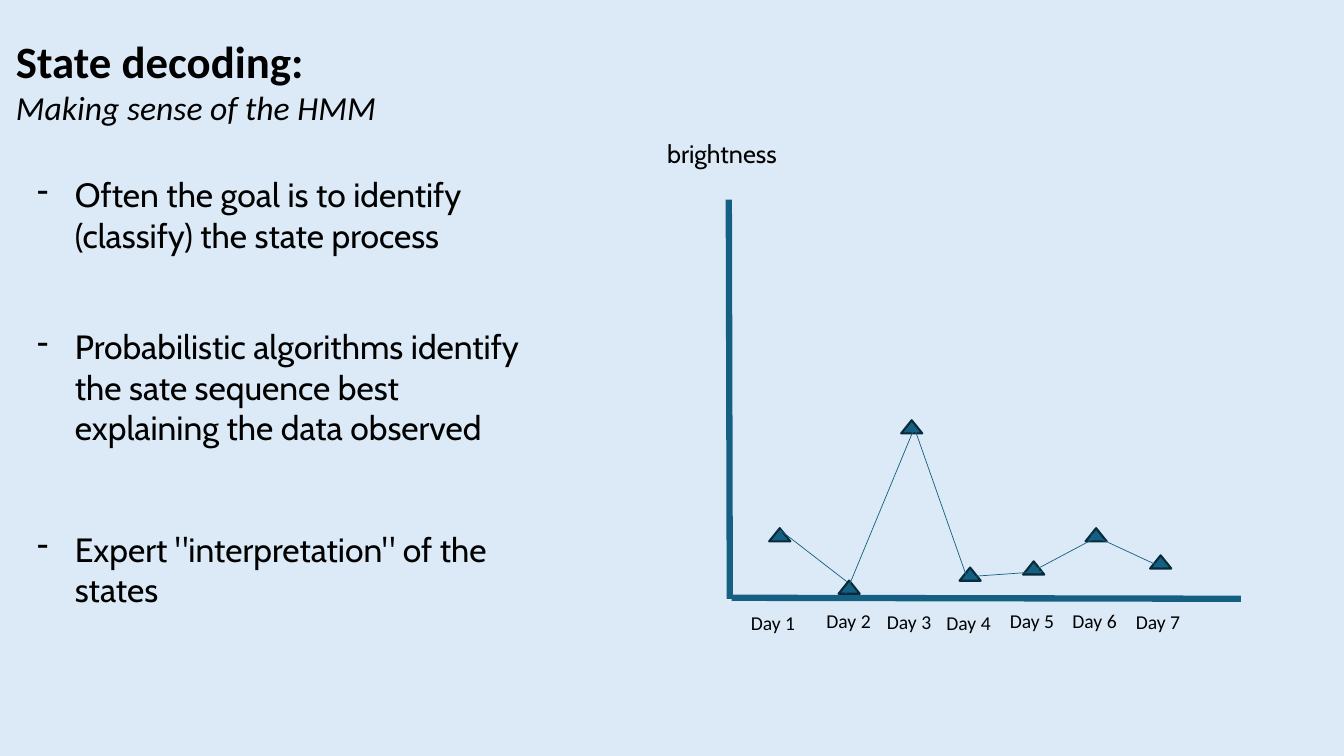
"""Build the state decoding slide with its hand-drawn brightness graph."""
from dataclasses import dataclass

import lxml.etree
import pptx
import pptx.dml.color
import pptx.enum.shapes
import pptx.oxml.ns
import pptx.shapes.connector
import pptx.shapes.group
import pptx.shapes.shapetree
import pptx.text.text
import pptx.util


@dataclass(frozen=True)
class Theme:
    background: str = "DCEAF7"
    accent: str = "156082"
    marker_outline: str = "092A39"
    text: str = "000000"
    heading_font: str = "Calibri"
    body_font: str = "Cabin"
    title_size: float = 32
    body_size: float = 24
    axis_title_size: float = 18
    label_size: float = 14
    axis_width: float = 4.5
    marker_width: float = 1.5
    segment_width: float = 0.5


@dataclass(frozen=True)
class Day:
    name: str
    label_left: float
    label_top: float
    label_width: float
    marker_left: float
    marker_top: float


@dataclass(frozen=True)
class Line:
    start_x: float
    start_y: float
    end_x: float
    end_y: float


@dataclass(frozen=True)
class Bullet:
    text: str
    space_before: float


THEME = Theme()
MARKER_WIDTH, MARKER_HEIGHT, LABEL_HEIGHT = 15.1, 9.4, 25.2
BULLET_INDENT = 27

BULLETS = [
    Bullet("Often the goal is to identify (classify) the state process", 0),
    Bullet("Probabilistic algorithms identify the sate sequence best explaining the data observed", 51),
    Bullet('Expert "interpretation" of the states', 58),
]
AXES = [Line(520.6, 142.6, 521.3, 427.7), Line(886.3, 427.7, 522.7, 427)]
DAYS = [
    Day("Day 1", 529.2, 432.7, 64, 549.4, 377.3),
    Day("Day 2", 583.2, 431.3, 64, 599, 414.7),
    Day("Day 3", 626.4, 432, 49, 643.7, 300.2),
    Day("Day 4", 668.9, 432.7, 49, 685.4, 405.4),
    Day("Day 5", 714.2, 431.3, 49, 730.8, 401),
    Day("Day 6", 758.9, 431.3, 49, 775.4, 377.3),
    Day("Day 7", 804.2, 432, 49, 821.5, 396.7),
]
SEGMENTS = [
    Line(557.3, 378.7, 604.8, 415.4),
    Line(653, 306, 604.1, 424.1),
    Line(653, 305.3, 691.2, 414),
    Line(693.4, 411.8, 744.5, 408.2),
    Line(738.7, 407.5, 784.8, 383),
    Line(830.2, 405.4, 779, 381.6),
]


def colour(value: str) -> pptx.dml.color.RGBColor:
    return pptx.dml.color.RGBColor.from_string(value)


def style(paragraph: pptx.text.text._Paragraph, font: str, size: float,
          bold: bool = False, italic: bool = False) -> None:
    for run in paragraph.runs:
        run.font.name = font
        run.font.size = pptx.util.Pt(size)
        run.font.bold = bold
        run.font.italic = italic
        run.font.color.rgb = colour(THEME.text)


def add_text(shapes: pptx.shapes.shapetree._BaseGroupShapes, text: str, left: float,
             top: float, width: float, height: float) -> pptx.text.text.TextFrame:
    box = shapes.add_textbox(*map(pptx.util.Pt, (left, top, width, height)))
    box.text_frame.word_wrap = True
    box.text_frame.text = text
    return box.text_frame


def add_line(graph: pptx.shapes.group.GroupShape, line: Line, width: float) -> None:
    ends = map(pptx.util.Pt, (line.start_x, line.start_y, line.end_x, line.end_y))
    connector = graph.shapes.add_connector(pptx.enum.shapes.MSO_CONNECTOR.STRAIGHT, *ends)
    connector.line.color.rgb = colour(THEME.accent)
    connector.line.width = pptx.util.Pt(width)
    lxml.etree.SubElement(connector._element.spPr, pptx.oxml.ns.qn("a:effectLst"))


def add_marker(graph: pptx.shapes.group.GroupShape, day: Day) -> None:
    box = map(pptx.util.Pt, (day.marker_left, day.marker_top, MARKER_WIDTH, MARKER_HEIGHT))
    marker = graph.shapes.add_shape(pptx.enum.shapes.MSO_SHAPE.ISOSCELES_TRIANGLE, *box)
    marker.shadow.inherit = False
    marker.fill.solid()
    marker.fill.fore_color.rgb = colour(THEME.accent)
    marker.line.color.rgb = colour(THEME.marker_outline)
    marker.line.width = pptx.util.Pt(THEME.marker_width)


def add_heading(shapes: pptx.shapes.shapetree.SlideShapes) -> None:
    text_frame = add_text(shapes, "State decoding:\nMaking sense of the HMM", 4.3, 20.2, 334, 75)
    title, subtitle = text_frame.paragraphs
    style(title, THEME.heading_font, THEME.title_size, bold=True)
    style(subtitle, THEME.heading_font, THEME.body_size, italic=True)


def add_bullets(shapes: pptx.shapes.shapetree.SlideShapes) -> None:
    text = "\n".join(bullet.text for bullet in BULLETS)
    text_frame = add_text(shapes, text, 19.4, 121, 380, 407)
    for paragraph, bullet in zip(text_frame.paragraphs, BULLETS):
        properties = paragraph._p.get_or_add_pPr()
        properties.set("marL", str(pptx.util.Pt(BULLET_INDENT)))
        properties.set("indent", str(pptx.util.Pt(-BULLET_INDENT)))
        lxml.etree.SubElement(properties, pptx.oxml.ns.qn("a:buChar"), char="-")
        paragraph.space_before = pptx.util.Pt(bullet.space_before)
        style(paragraph, THEME.body_font, THEME.body_size)


def add_graph(shapes: pptx.shapes.shapetree.SlideShapes) -> None:
    graph = shapes.add_group_shape()
    for axis in AXES:
        add_line(graph, axis, THEME.axis_width)
    for day in DAYS:
        label = add_text(graph.shapes, day.name, day.label_left, day.label_top,
                         day.label_width, LABEL_HEIGHT)
        style(label.paragraphs[0], THEME.heading_font, THEME.label_size)
    for day in DAYS:
        add_marker(graph, day)
    for segment in SEGMENTS:
        add_line(graph, segment, THEME.segment_width)
    axis_title = add_text(graph.shapes, "brightness", 469.4, 95, 137, 75.6)
    style(axis_title.paragraphs[0], THEME.body_font, THEME.axis_title_size)


def main() -> None:
    presentation = pptx.Presentation()
    presentation.slide_width = pptx.util.Pt(960)
    presentation.slide_height = pptx.util.Pt(540)
    slide = presentation.slides.add_slide(presentation.slide_layouts[6])
    slide.background.fill.solid()
    slide.background.fill.fore_color.rgb = colour(THEME.background)
    add_heading(slide.shapes)
    add_bullets(slide.shapes)
    add_graph(slide.shapes)
    presentation.save("out.pptx")


if __name__ == "__main__":
    main()
